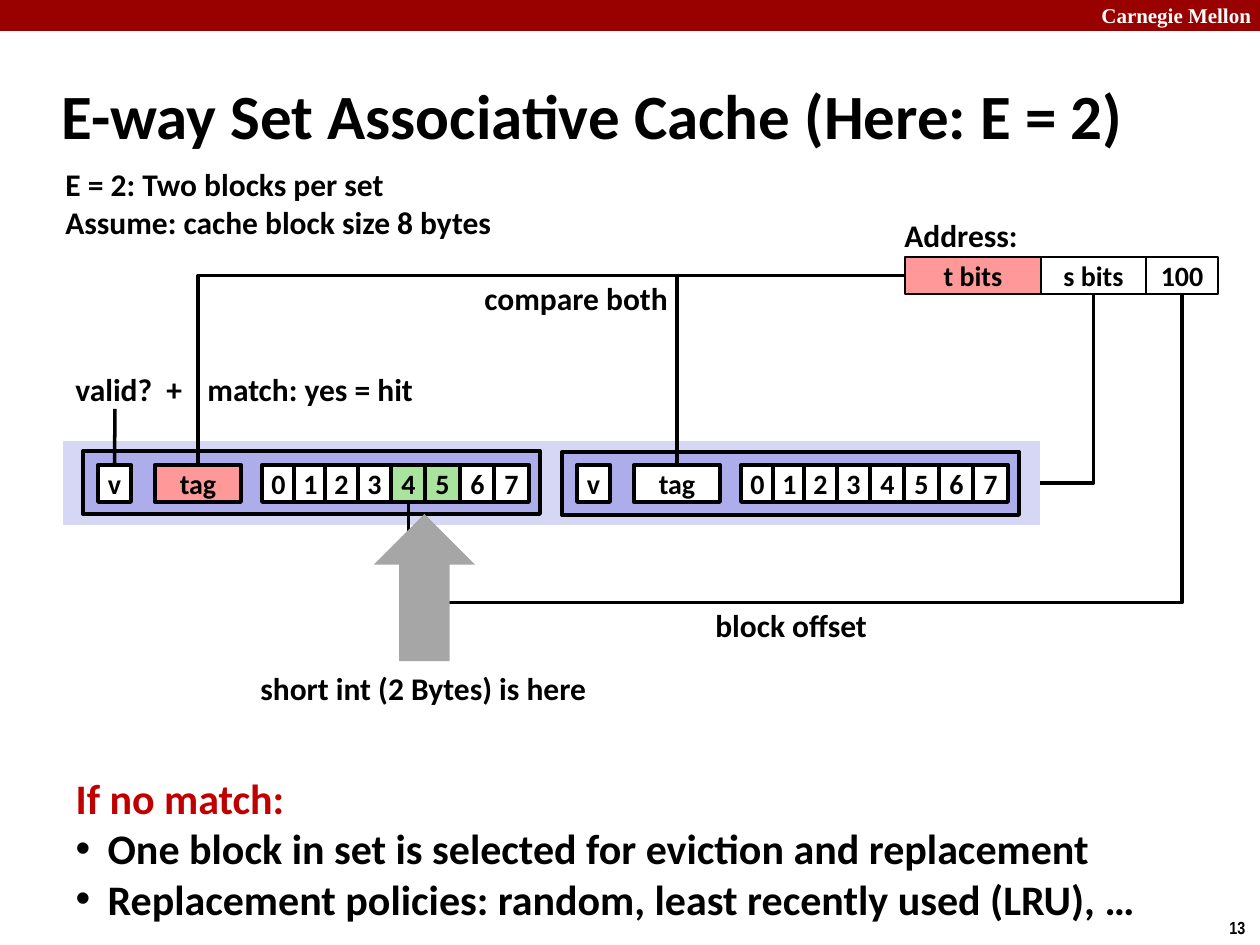
from dataclasses import dataclass

from lxml import etree
from pptx import Presentation
from pptx.dml.color import RGBColor
from pptx.enum.shapes import MSO_CONNECTOR, MSO_SHAPE
from pptx.enum.text import MSO_ANCHOR, MSO_AUTO_SIZE, PP_ALIGN
from pptx.oxml.ns import qn
from pptx.util import Emu, Pt

EMU_PER_PX = 914400 / 126
RECT, UP_ARROW = MSO_SHAPE.RECTANGLE, MSO_SHAPE.UP_ARROW
STRAIGHT, ELBOW = MSO_CONNECTOR.STRAIGHT, MSO_CONNECTOR.ELBOW
MIDDLE = MSO_ANCHOR.MIDDLE
LEFT, CENTER = PP_ALIGN.LEFT, PP_ALIGN.CENTER
TOP, LEFT_SIDE, BOTTOM, RIGHT_SIDE = range(4)

BLACK, WHITE, RED = "000000", "FFFFFF", "C00000"
BANNER, PINK, GREEN, GRAY = "990000", "FF9999", "A9E39D", "A6A6A6"
SET_BLUE, WAY_BLUE = "D6D6F5", "ADADEB"


@dataclass
class Label:
    text: str
    x: int
    y: int
    w: int
    h: int = 50
    size: int = 18
    font: str = "Calibri"
    color: str = BLACK


@dataclass
class Way:
    x: int
    y: int
    tag_fill: str
    hit_bytes: tuple


def px(length: float) -> Emu:
    return Emu(round(length * EMU_PER_PX))


def rgb(code: str) -> RGBColor:
    return RGBColor.from_string(code)


def place(shape, x: int, y: int, w: int, h: int) -> None:
    shape.left, shape.top, shape.width, shape.height = map(px, (x, y, w, h))


def style_text(paragraph, size: int, color: str = BLACK, font: str = "Calibri", align=LEFT) -> None:
    paragraph.alignment = align
    for run in paragraph.runs:
        run.font.size, run.font.bold, run.font.name = Pt(size), True, font
        run.font.color.rgb = rgb(color)


def add_label(label: Label) -> None:
    frame = slide.shapes.add_textbox(*map(px, (label.x, label.y, label.w, label.h))).text_frame
    frame.word_wrap = False
    frame.text = label.text
    for paragraph in frame.paragraphs:
        style_text(paragraph, label.size, label.color, label.font)


def add_block(x: int, y: int, w: int, h: int, fill: str, text: str = "",
              line_width: float = 0, kind=RECT):
    block = slide.shapes.add_shape(kind, *map(px, (x, y, w, h)))
    block.shadow.inherit = False
    block.fill.solid()
    block.fill.fore_color.rgb = rgb(fill)
    if line_width:
        block.line.color.rgb = rgb(BLACK)
        block.line.width = Pt(line_width)
    else:
        block.line.fill.background()
    if text:
        frame = block.text_frame
        frame.word_wrap, frame.vertical_anchor = False, MIDDLE
        frame.text = text
        style_text(frame.paragraphs[0], 16, align=CENTER)
    return block


def add_wire(kind, end, end_side: int, start=None, start_side: int = 0, start_point=(0, 0)):
    x, y = map(px, start_point)
    wire = slide.shapes.add_connector(kind, x, y, x, y)
    if start is not None:
        wire.begin_connect(start, start_side)
    wire.end_connect(end, end_side)
    wire.line.color.rgb = rgb(BLACK)
    wire.line.width = Pt(2)
    etree.SubElement(wire._element.spPr, qn("a:effectLst"))
    return wire


def add_corner(start, start_side: int, end, end_side: int) -> None:
    """One bend: horizontal from the start, then vertical to the end."""
    wire = add_wire(ELBOW, end, end_side, start, start_side)
    wire._element.spPr.find(qn("a:prstGeom")).set("prst", "bentConnector2")


def add_under_loop(start, end, bend: int) -> None:
    """Down from the start, across below both ends, then up to the end."""
    wire = add_wire(ELBOW, end, BOTTOM, start, BOTTOM)
    shift = (wire.width - wire.height) // 2
    wire.left, wire.top = wire.left + shift, wire.top - shift
    wire.width, wire.height = wire.height, wire.width
    frame = wire._element.spPr.find(qn("a:xfrm"))
    frame.attrib.pop("flipH", None)
    frame.set("rot", "5400000")
    guides = wire._element.spPr.find(qn("a:prstGeom")).get_or_add_avLst()
    etree.SubElement(guides, qn("a:gd"), name="adj1", fmla=f"val {bend}")


def set_bullet(paragraph, indent: int, char: str = "") -> None:
    properties = paragraph._p.get_or_add_pPr()
    properties.set("marL", str(px(indent)))
    properties.set("indent", str(-px(indent)))
    if char:
        etree.SubElement(properties, qn("a:buFont"), typeface="Arial")
        etree.SubElement(properties, qn("a:buChar"), char=char)
    else:
        etree.SubElement(properties, qn("a:buNone"))


def add_way(way: Way):
    """Draw one cache line; return its valid, tag and byte cells."""
    add_block(way.x, way.y, 457, 63, WAY_BLUE, line_width=2.25)

    def cell(offset: int, width: int, text: str, fill: str = WHITE):
        return add_block(way.x + offset, 465, width, 37, fill, text, 2.25)

    valid = cell(15, 33, "v")
    tag = cell(72, 86, "tag", way.tag_fill)
    byte_cells = []
    for number, offset in enumerate((179, 211, 242, 275, 308, 342, 377, 411)):
        fill = GREEN if number in way.hit_bytes else WHITE
        byte_cells.append(cell(offset, 33 if number < 4 else 35, str(number), fill))
    return valid, tag, byte_cells


prs = Presentation()
prs.slide_width, prs.slide_height = px(1260), px(945)
slide = prs.slides.add_slide(prs.slide_layouts[1])
title, no_match = slide.placeholders

# Banner and title
add_block(0, 0, 1260, 31, BANNER)
place(title, 49, 62, 1137, 105)
title.text_frame.text = "E-way Set Associative Cache (Here: E = 2)"
title.text_frame.vertical_anchor = MIDDLE
title.text_frame.auto_size = MSO_AUTO_SIZE.NONE
style_text(title.text_frame.paragraphs[0], 36)

# Address fields
tag_bits = add_block(905, 257, 136, 37, PINK, "t bits", 1)
set_bits = add_block(1041, 257, 105, 37, WHITE, "s bits", 1)
offset_bits = add_block(1146, 257, 72, 37, WHITE, "100", 1)

# Selected set with its two ways
cache_set = add_block(63, 441, 977, 84, SET_BLUE)
valid_1, tag_1, bytes_1 = add_way(Way(83, 451, PINK, (4, 5)))
_, tag_2, _ = add_way(Way(562, 452, WHITE, ()))

# Wiring from the address to the set
add_corner(cache_set, RIGHT_SIDE, set_bits, BOTTOM)
for tag_cell in (tag_2, tag_1):
    add_corner(tag_bits, LEFT_SIDE, tag_cell, TOP)
add_wire(STRAIGHT, valid_1, TOP, start_point=(115, 409))
add_under_loop(offset_bits, bytes_1[4], 148400)
add_block(374, 514, 101, 147, GRAY, kind=UP_ARROW)

# Labels
for label in (
    Label("Carnegie Mellon", 1089, -4, 180, 38, 12, "Times New Roman", WHITE),
    Label("13", 1217, 911, 43, 34, 10, "Arial Narrow"),
    Label("E = 2: Two blocks per set\nAssume: cache block size 8 bytes", 53, 159, 455, 89),
    Label("Address:", 892, 210, 140),
    Label("compare both", 472, 273, 210),
    Label("valid?  +", 63, 364, 141),
    Label("match: yes = hit", 195, 364, 233),
    Label("block offset", 703, 600, 179),
    Label("short int (2 Bytes) is here", 248, 663, 354),
):
    add_label(label)

# What happens without a match
place(no_match, 63, 766, 1130, 165)
no_match.text_frame.auto_size = MSO_AUTO_SIZE.NONE
no_match.text_frame.text = "\n".join((
    "If no match:",
    "One block in set is selected for eviction and replacement",
    "Replacement policies: random, least recently used (LRU), …",
))
for position, paragraph in enumerate(no_match.text_frame.paragraphs):
    paragraph.space_before = Pt(0)
    set_bullet(paragraph, 32 if position else 0, "•" if position else "")
    style_text(paragraph, 24, BLACK if position else RED)

prs.save("out.pptx")
